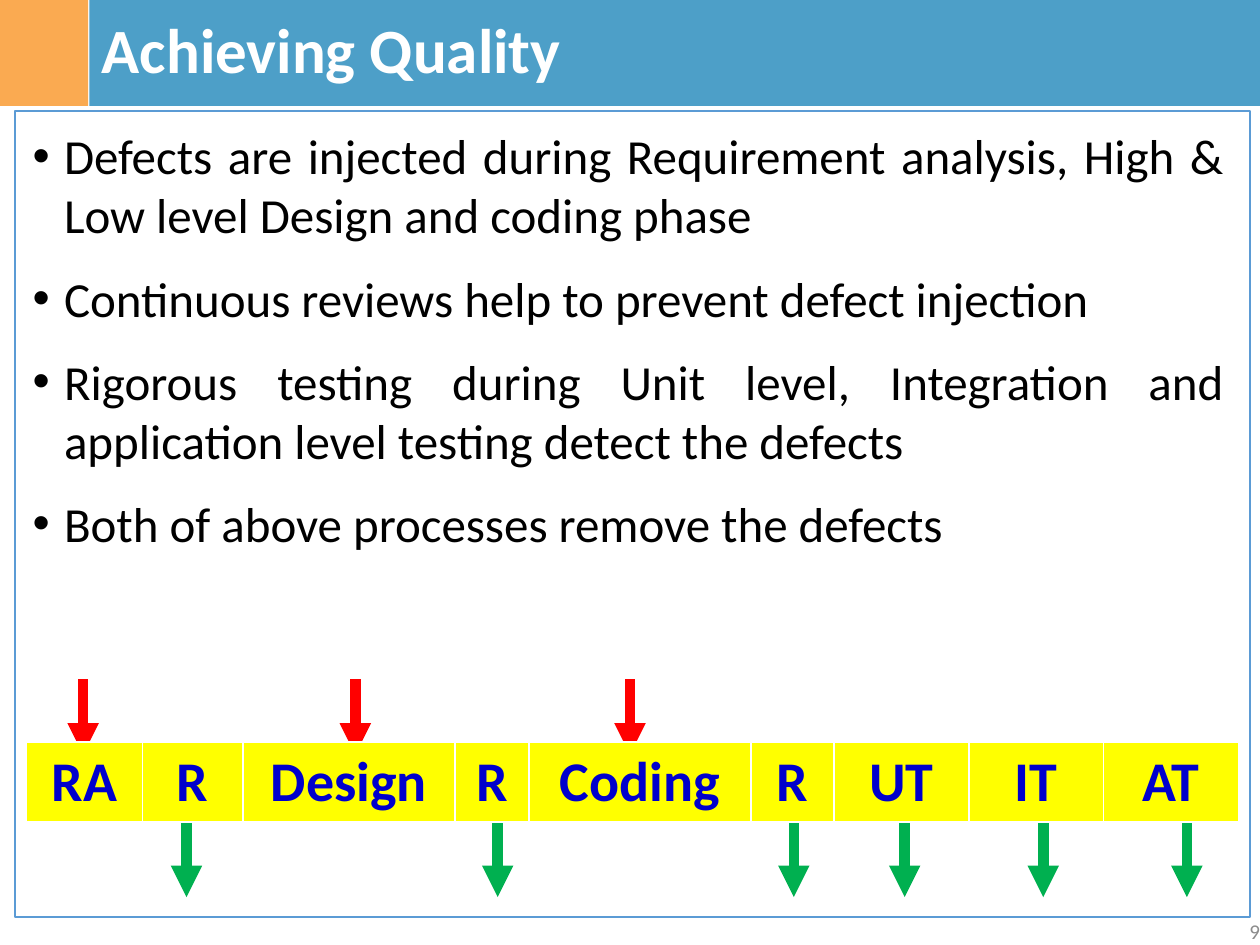
"""Build the Achieving Quality slide on a grid of 100 columns by 75 rows."""
from dataclasses import dataclass
from typing import NamedTuple

from lxml.etree import SubElement
from pptx import Presentation
from pptx.dml.color import RGBColor as Rgb
from pptx.enum.shapes import MSO_CONNECTOR as Link, MSO_SHAPE as Shape
from pptx.enum.text import MSO_ANCHOR as Anchor, MSO_AUTO_SIZE as Fit, PP_ALIGN as Align
from pptx.oxml.ns import qn
from pptx.util import Inches, Pt


@dataclass(frozen=True)
class Theme:
    face: str = "Calibri"
    white: str = "FFFFFF"
    black: str = "000000"
    blue: str = "4D9FC8"
    orange: str = "F88608"
    frame: str = "5B9BD5"
    grey: str = "8C8C8C"
    red: str = "FF0000"
    green: str = "00B050"
    yellow: str = "FFFF00"
    navy: str = "0000CC"
    title: int = 36
    body: int = 28
    phase: int = 32
    page: int = 12


class Box(NamedTuple):
    col: float
    row: float
    wide: float
    high: float


class Phase(NamedTuple):
    name: str
    wide: float


class Flow(NamedTuple):
    color: str
    top: float
    cols: tuple


THEME = Theme()
WIDE, HIGH = Inches(10), Inches(7.5)
COL, ROW = WIDE / 100, HIGH / 75
POINTS = (
    "Defects are injected during Requirement analysis, High & Low level Design and coding phase",
    "Continuous reviews help to prevent defect injection",
    "Rigorous testing during Unit level, Integration and application level testing detect the defects",
    "Both of above processes remove the defects",
)
PHASES = (
    Phase("RA", 9.2), Phase("R", 8), Phase("Design", 16.8), Phase("R", 5.9),
    Phase("Coding", 17.6), Phase("R", 6.6), Phase("UT", 10.7), Phase("IT", 10.7),
    Phase("AT", 10.7),
)
FLOWS = (
    Flow(THEME.green, 65.2, (14.8, 39.5, 63, 71.8, 82.8, 94.2)),
    Flow(THEME.red, 53.9, (6.6, 28.2, 50)),
)


def place(box: Box) -> tuple:
    """Turn grid units into slide lengths."""
    return (round(box.col * COL), round(box.row * ROW),
            round(box.wide * COL), round(box.high * ROW))


def style(para, size: int, color: str, bold: bool = False, align=Align.LEFT) -> None:
    """Set the font and alignment of a paragraph."""
    font = para.font
    font.name, font.size, font.bold = THEME.face, Pt(size), bold
    font.color.rgb = Rgb.from_string(color)
    para.alignment = align


def panel(slide, box: Box, color: str, alpha: int = 100, edge: str = ""):
    """Draw a filled rectangle with an optional edge."""
    shape = slide.shapes.add_shape(Shape.RECTANGLE, *place(box))
    shape.shadow.inherit = False
    shape.fill.solid()
    shape.fill.fore_color.rgb = Rgb.from_string(color)
    if alpha < 100:
        tint = shape.fill._xPr.find(qn("a:solidFill"))[0]
        SubElement(tint, qn("a:alpha"), val=str(alpha * 1000))
    if edge:
        shape.line.color.rgb = Rgb.from_string(edge)
        shape.line.width = Pt(1)
    else:
        shape.line.fill.background()
    return shape


def bullets(slide, box: Box, lines: tuple) -> None:
    """Add a justified bullet list."""
    frame = slide.shapes.add_textbox(*place(box)).text_frame
    frame.word_wrap, frame.auto_size = True, Fit.SHAPE_TO_FIT_TEXT
    frame.text = "\n".join(lines)
    for para in frame.paragraphs:
        style(para, THEME.body, THEME.black, align=Align.JUSTIFY)
        para.space_before = Pt(THEME.body / 2)
        props = para._p.get_or_add_pPr()
        props.set("marL", str(Inches(0.25)))
        props.set("indent", str(-Inches(0.25)))
        mark = SubElement(props, qn("a:buFont"), typeface="Arial")
        mark.addnext(props.makeelement(qn("a:buChar"), {"char": "•"}))
        props.append(props.find(qn("a:defRPr")))


def arrow(slide, col: float, top: float, color: str) -> None:
    """Draw a thick arrow pointing down."""
    x, y, _, drop = place(Box(col, top, 0, 6))
    line = slide.shapes.add_connector(Link.STRAIGHT, x, y, x, y + drop)
    line.line.color.rgb = Rgb.from_string(color)
    line.line.width = Pt(6)
    SubElement(line.line._get_or_add_ln(), qn("a:tailEnd"), type="triangle")
    SubElement(line._element.spPr, qn("a:effectLst"))


def strip(slide, box: Box, phases: tuple) -> None:
    """Add the one-row table of phases."""
    table = slide.shapes.add_table(1, len(phases), *place(box)).table
    for col, cell, phase in zip(table.columns, table.rows[0].cells, phases):
        col.width = round(phase.wide * COL)
        cell.text = phase.name
        cell.fill.solid()
        cell.fill.fore_color.rgb = Rgb.from_string(THEME.yellow)
        style(cell.text_frame.paragraphs[0], THEME.phase, THEME.navy, True, Align.CENTER)


def main() -> None:
    """Build and save the slide."""
    deck = Presentation()
    deck.slide_width, deck.slide_height = WIDE, HIGH
    slide = deck.slides.add_slide(deck.slide_layouts[6])
    panel(slide, Box(-0.1, 0, 7.1, 8.4), THEME.orange, 70)
    head = panel(slide, Box(7.1, 0, 92.9, 8.4), THEME.blue).text_frame
    head.text, head.vertical_anchor = "Achieving Quality", Anchor.MIDDLE
    style(head.paragraphs[0], THEME.title, THEME.white, True)
    head.paragraphs[0].line_spacing = 0.9
    panel(slide, Box(1.2, 8.8, 98, 64), THEME.white, 90, THEME.frame)
    bullets(slide, Box(1.6, 9.5, 96.5, 36.4), POINTS)
    page = slide.shapes.add_textbox(*place(Box(94.9, 72.9, 5.1, 2))).text_frame
    page.text, page.vertical_anchor, page.word_wrap = "9", Anchor.MIDDLE, True
    page.margin_left = page.margin_right = page.margin_top = page.margin_bottom = 0
    style(page.paragraphs[0], THEME.page, THEME.grey, align=Align.RIGHT)
    for flow in FLOWS:
        for col in flow.cols:
            arrow(slide, col, flow.top, flow.color)
    strip(slide, Box(2.1, 58.9, 96.2, 6.3), PHASES)
    deck.save("out.pptx")


if __name__ == "__main__":
    main()
